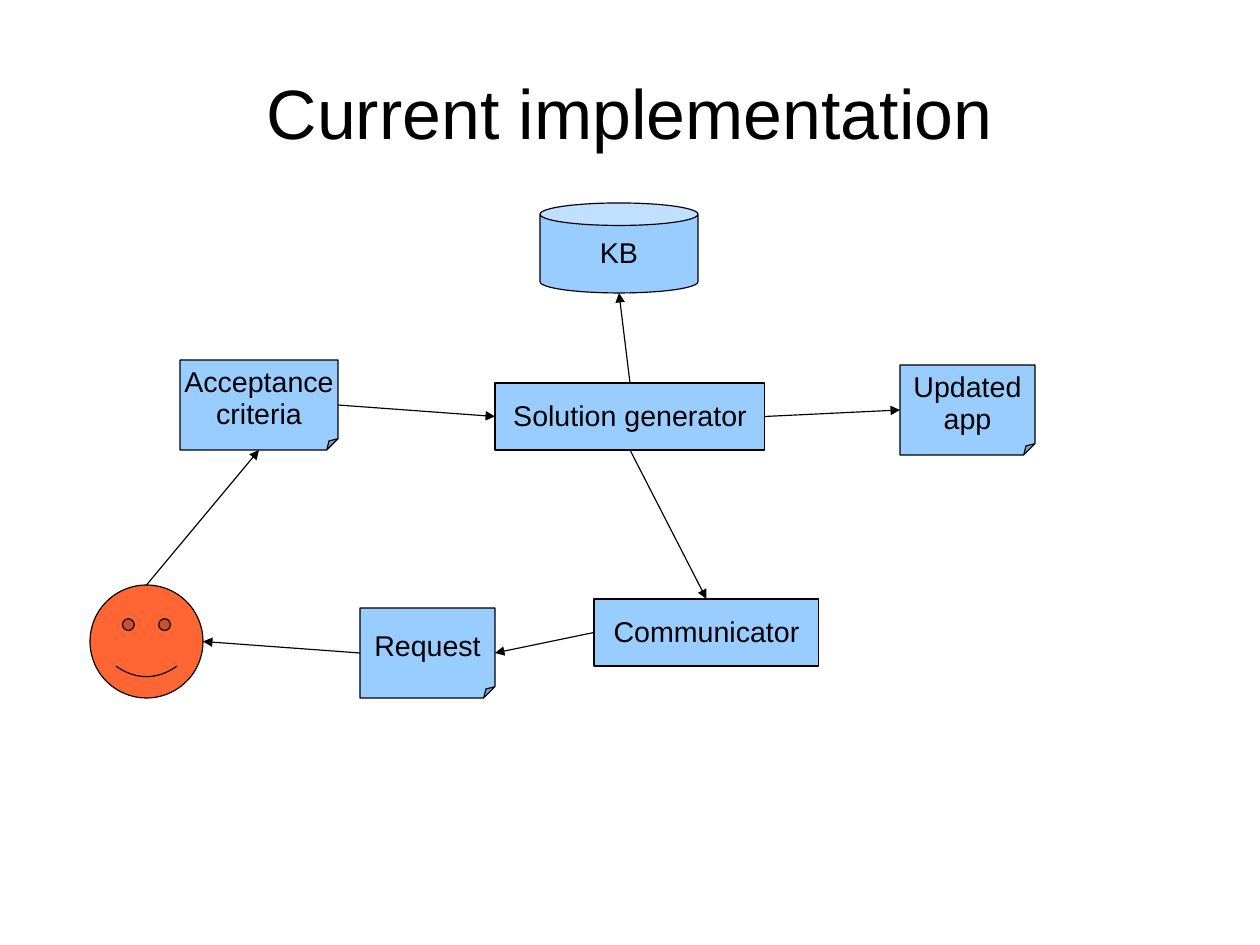
from lxml import etree
from pptx import Presentation
from pptx.dml.color import RGBColor
from pptx.enum.shapes import MSO_CONNECTOR, MSO_SHAPE
from pptx.enum.text import MSO_ANCHOR, PP_ALIGN
from pptx.oxml.ns import qn
from pptx.util import Pt

PX = 8000  # EMU per px
SLIDE_SIZE = (1260, 945)
FONT = "Arial"
BLACK, BLUE, ORANGE = "000000", "99CCFF", "FF6633"
LINE_SPACING = 0.93

TITLE = ("Current implementation", (63, 43, 1134, 146))

# name: (preset, (left, top, width, height), fill, text lines)
NODES = {
    "criteria": (MSO_SHAPE.FOLDED_CORNER, (180, 360, 158, 90), BLUE, ["Acceptance", "criteria"]),
    "generator": (MSO_SHAPE.RECTANGLE, (495, 383, 270, 67), BLUE, ["Solution generator"]),
    "communicator": (MSO_SHAPE.RECTANGLE, (594, 599, 225, 67), BLUE, ["Communicator"]),
    "app": (MSO_SHAPE.FOLDED_CORNER, (900, 365, 135, 90), BLUE, ["Updated", "app"]),
    "request": (MSO_SHAPE.FOLDED_CORNER, (360, 608, 135, 90), BLUE, ["Request"]),
    "kb": (MSO_SHAPE.CAN, (540, 203, 158, 90), BLUE, ["KB"]),
    "user": (MSO_SHAPE.SMILEY_FACE, (90, 585, 113, 113), ORANGE, []),
}

# (from node, side, to node, side)
ARROWS = [
    ("criteria", "right", "generator", "left"),
    ("generator", "right", "app", "left"),
    ("generator", "top", "kb", "bottom"),
    ("generator", "bottom", "communicator", "top"),
    ("communicator", "left", "request", "right"),
    ("request", "left", "user", "right"),
    ("user", "top", "criteria", "bottom"),
]

# Position of each side's middle, as shares of width and height
SIDES = {"left": (0, 0.5), "right": (1, 0.5), "top": (0.5, 0), "bottom": (0.5, 1)}


def emu(lengths):
    return [round(length * PX) for length in lengths]


def color(hex_string):
    return RGBColor.from_string(hex_string)


def style_line(line):
    line.color.rgb = color(BLACK)
    line.width = Pt(0.75)


def write_lines(frame, lines, size):
    """Fill a text frame with one centred paragraph per line."""
    frame.vertical_anchor = MSO_ANCHOR.MIDDLE
    for index, line in enumerate(lines):
        paragraph = frame.add_paragraph() if index else frame.paragraphs[0]
        paragraph.alignment = PP_ALIGN.CENTER
        paragraph.line_spacing = LINE_SPACING
        run = paragraph.add_run()
        run.text = line
        run.font.name = FONT
        run.font.size = Pt(size)
        run.font.color.rgb = color(BLACK)


def add_title(slide):
    text, box = TITLE
    title = slide.shapes.title
    title.left, title.top, title.width, title.height = emu(box)
    frame = title.text_frame
    frame.margin_left = frame.margin_right = frame.margin_top = frame.margin_bottom = 0
    write_lines(frame, [text], 44)


def set_fold(note):
    """Make the folded corner an eighth of the note's shorter side."""
    adjustments = note._element.spPr.find(qn("a:prstGeom")).find(qn("a:avLst"))
    etree.SubElement(adjustments, qn("a:gd"), name="adj", fmla="val 12500")


def add_node(slide, preset, box, fill, lines):
    node = slide.shapes.add_shape(preset, *emu(box))
    node.shadow.inherit = False
    node.fill.solid()
    node.fill.fore_color.rgb = color(fill)
    style_line(node.line)
    if preset == MSO_SHAPE.FOLDED_CORNER:
        set_fold(node)
    if lines:
        node.text_frame.word_wrap = False
        write_lines(node.text_frame, lines, 18)


def side_point(name, side):
    left, top, width, height = NODES[name][1]
    across, down = SIDES[side]
    return left + across * width, top + down * height


def add_arrow(slide, start, start_side, end, end_side):
    points = side_point(start, start_side) + side_point(end, end_side)
    arrow = slide.shapes.add_connector(MSO_CONNECTOR.STRAIGHT, *emu(points))
    style_line(arrow.line)
    properties = arrow._element.spPr
    etree.SubElement(properties.find(qn("a:ln")), qn("a:tailEnd"), type="triangle")
    etree.SubElement(properties, qn("a:effectLst"))


def main():
    presentation = Presentation()
    presentation.slide_width, presentation.slide_height = emu(SLIDE_SIZE)
    title_only = presentation.slide_layouts[5]
    slide = presentation.slides.add_slide(title_only)
    add_title(slide)
    for node in NODES.values():
        add_node(slide, *node)
    for arrow in ARROWS:
        add_arrow(slide, *arrow)
    presentation.save("out.pptx")


if __name__ == "__main__":
    main()
